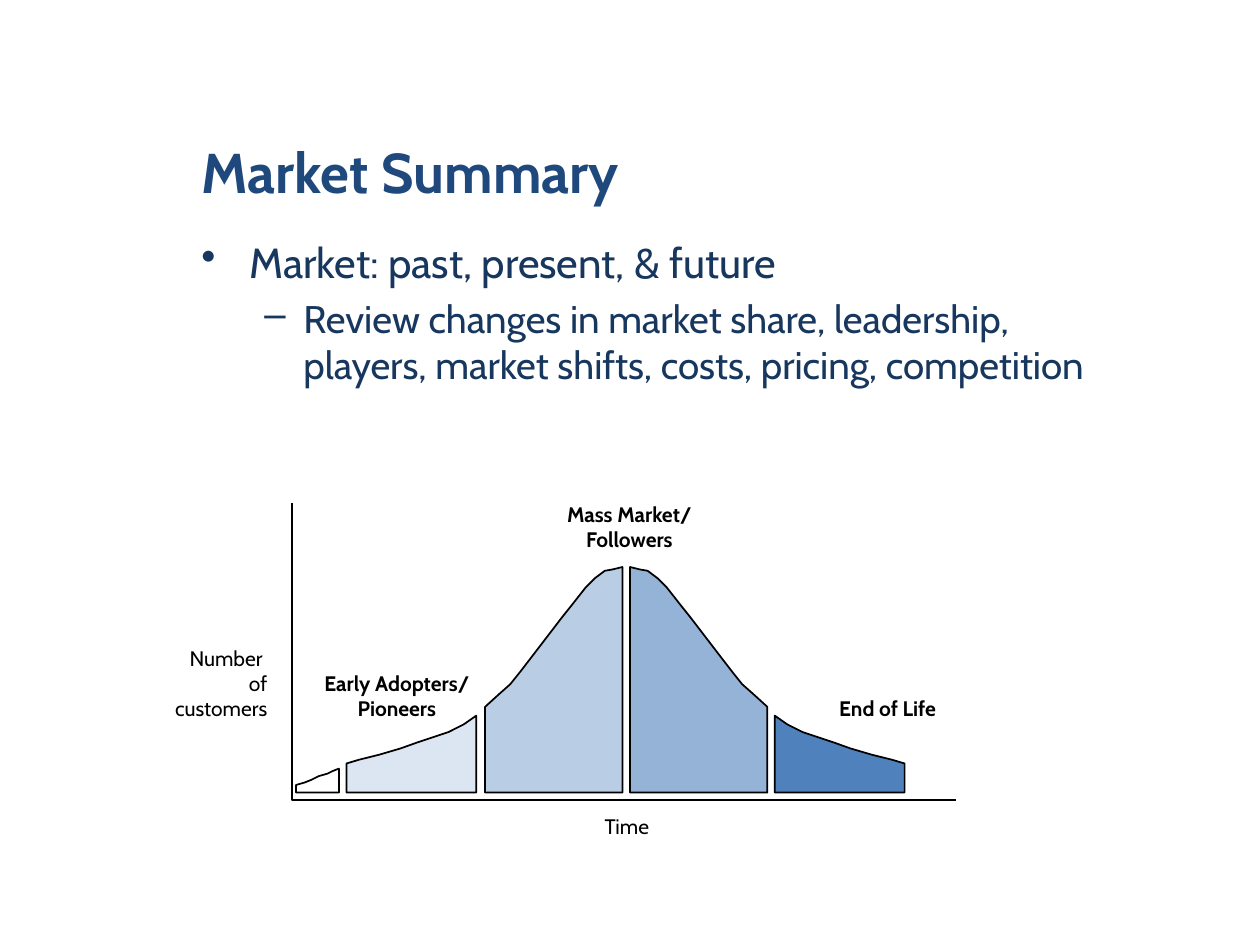
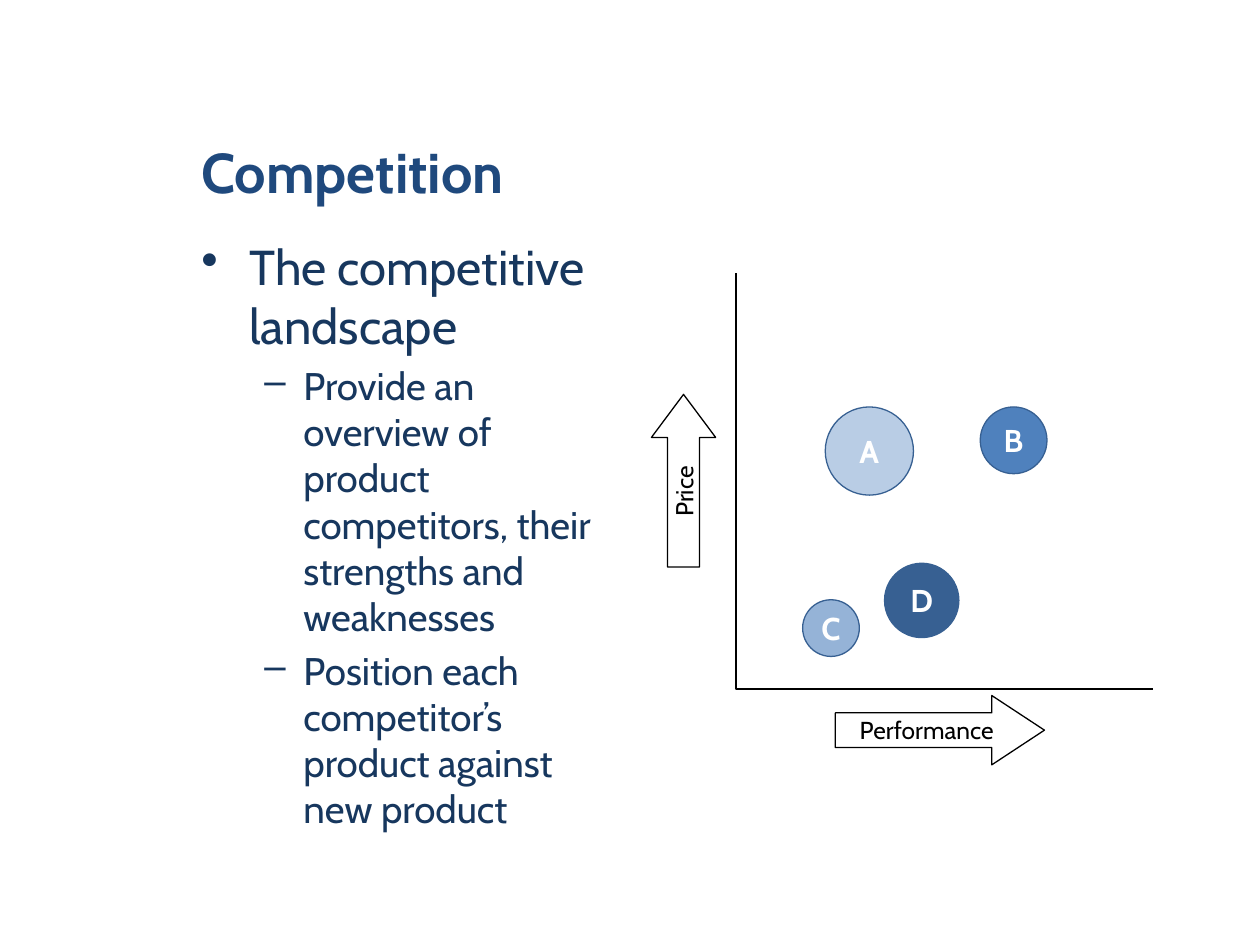
import dataclasses

import pptx
import pptx.dml.color
import pptx.enum.shapes
import pptx.enum.text
import pptx.util
from lxml import etree

Align = pptx.enum.text.PP_ALIGN
Anchor = pptx.enum.text.MSO_ANCHOR
Fit = pptx.enum.text.MSO_AUTO_SIZE
Preset = pptx.enum.shapes.MSO_SHAPE

EMU_PER_PX = 9144
PAGE_SIZE = (1000, 750)
TITLE_AREA = (150, 42, 750, 125)


@dataclasses.dataclass(frozen=True)
class Theme:
    font: str = "Cabin"
    title: str = "1F497D"
    body: str = "17375E"
    ink: str = "000000"
    paper: str = "FFFFFF"
    pale: str = "DCE6F2"
    light: str = "B9CDE5"
    medium: str = "95B3D7"
    strong: str = "4F81BD"
    dark: str = "376092"
    title_size: int = 32
    bullet_size: int = 22
    label_size: int = 12
    arrow_size: int = 14
    bubble_size: int = 18
    thin: float = 0.75
    outline: float = 1
    axis: float = 1.5


THEME = Theme()
BULLETS = [("•", 38, -38), ("–", 81, -31)]

MARKET = {
    "title": "Market Summary",
    "body_area": (150, 183, 750, 183),
    "bullets": [
        (0, 24, "Market: past, present, & future"),
        (1, THEME.bullet_size, "Review changes in market share, leadership, players, "
                               "market shifts, costs, pricing, competition"),
    ],
    "axes": [(232, 399), (232, 635), (759, 635)],
}
COMPETITION = {
    "title": "Competition",
    "body_area": (150, 183, 342, 517),
    "bullets": [
        (0, 28, "The competitive landscape"),
        (1, THEME.bullet_size, "Provide an overview of product competitors, "
                               "their strengths and weaknesses"),
        (1, THEME.bullet_size, "Position each competitor’s product against new product"),
    ],
    "axes": [(584, 217), (584, 547), (915, 547)],
}

BASELINE = 629
INNOVATOR_CURVE = [(235, 623), (242, 621), (247, 619), (253, 616), (260, 614),
                   (264, 612), (269, 610)]
EARLY_CURVE = [(275, 606), (285, 603), (301, 599), (318, 594), (332, 589),
               (347, 584), (356, 581), (368, 575), (378, 568)]
MASS_CURVE = [(385, 561), (396, 551), (405, 543), (413, 533), (423, 520), (433, 507),
              (446, 490), (454, 480), (465, 466), (472, 459), (480, 453), (486, 452),
              (494, 450)]


def mirrored(curve, edge_sum):
    return [(edge_sum - x, y) for x, y in reversed(curve)]


STAGES = [
    (THEME.pale, EARLY_CURVE),
    (THEME.light, MASS_CURVE),
    (THEME.paper, INNOVATOR_CURVE),
    (THEME.strong, mirrored(EARLY_CURVE, 993)),
    (THEME.medium, mirrored(MASS_CURVE, 994)),
]
STAGE_LABELS = [
    (["Early Adopters/", "Pioneers"], (239, 527, 152, 50)),
    (["Mass Market/", "Followers"], (432, 393, 135, 50)),
    (["End of Life"], (650, 547, 109, 30)),
]
TIME_LABEL = (["Time"], (469, 641, 57, 30))
CUSTOMERS_LABEL = (["Number ", "of", "customers"], (100, 507, 122, 70))

BUBBLES = [
    ("A", 655, 323, 70, THEME.light),
    ("B", 778, 323, 53, THEME.strong),
    ("C", 637, 476, 45, THEME.medium),
    ("D", 702, 447, 59, THEME.dark),
]
ARROWS = [
    ("Performance", (663, 552, 166, 55), 0, 0.76),
    ("Price", (474, 356, 137, 51), 270, 0.67),
]


def emu(px):
    return pptx.util.Emu(round(px * EMU_PER_PX))


def rgb(code):
    return pptx.dml.color.RGBColor.from_string(code)


def assign(target, values):
    for name, value in values.items():
        setattr(target, name, value)


def write(para, text, size, color, bold=False):
    span = para.add_run()
    span.text = text
    assign(span.font, {"name": THEME.font, "size": pptx.util.Pt(size), "bold": bold})
    span.font.color.rgb = rgb(color)


def paragraphs(frame, count):
    return [frame.paragraphs[0]] + [frame.add_paragraph() for _ in range(count - 1)]


def paint(shape, fill, line, width):
    shape.shadow.inherit = False
    if fill:
        shape.fill.solid()
        shape.fill.fore_color.rgb = rgb(fill)
    else:
        shape.fill.background()
    shape.line.color.rgb = rgb(line)
    shape.line.width = pptx.util.Pt(width)


def add_box(page, area, **frame_format):
    box = page.shapes.add_textbox(*map(emu, area))
    assign(box.text_frame, frame_format)
    return box.text_frame


def add_bullets(page, area, bullets):
    frame = add_box(page, area, word_wrap=True)
    for index, para in enumerate(paragraphs(frame, len(bullets))):
        level, size, text = bullets[index]
        mark, margin, indent = BULLETS[level]
        para.level = level
        para.space_before = pptx.util.Pt(size * 0.2 if index else 0)
        props = para._p.get_or_add_pPr()
        props.set("marL", str(emu(margin)))
        props.set("indent", str(emu(indent)))
        bullet = etree.SubElement(props, pptx.oxml.ns.qn("a:buChar"))
        bullet.set("char", mark)
        write(para, text, size, THEME.body)


def add_path(page, points, closed, fill, width):
    builder = page.shapes.build_freeform(*points[0], scale=EMU_PER_PX)
    builder.add_line_segments(points[1:], close=closed)
    paint(builder.convert_to_shape(), fill, THEME.ink, width)


def add_label(page, lines, area, bold=False, align=Align.CENTER, wrap=False):
    frame = add_box(page, area, word_wrap=wrap, vertical_anchor=Anchor.MIDDLE,
                    auto_size=Fit.SHAPE_TO_FIT_TEXT)
    for para, text in zip(paragraphs(frame, len(lines)), lines):
        para.alignment = align
        write(para, text, THEME.label_size, THEME.ink, bold)


def add_figure(page, preset, area, fill, line, text, size, color, bold=False):
    shape = page.shapes.add_shape(preset, *map(emu, area))
    paint(shape, fill, line, THEME.thin)
    frame = shape.text_frame
    assign(frame, {"word_wrap": False, "vertical_anchor": Anchor.MIDDLE,
                   "margin_left": 0, "margin_top": 0,
                   "margin_right": 0, "margin_bottom": 0})
    frame.paragraphs[0].alignment = Align.CENTER
    write(frame.paragraphs[0], text, size, color, bold)
    return shape


def add_page(deck, content):
    page = deck.slides.add_slide(deck.slide_layouts[6])
    frame = add_box(page, TITLE_AREA, word_wrap=True, vertical_anchor=Anchor.BOTTOM)
    write(frame.paragraphs[0], content["title"], THEME.title_size, THEME.title, True)
    add_bullets(page, content["body_area"], content["bullets"])
    return page


def build_market(deck):
    page = add_page(deck, MARKET)
    add_path(page, MARKET["axes"], False, None, THEME.outline)
    for fill, curve in STAGES:
        base = [(curve[-1][0], BASELINE), (curve[0][0], BASELINE)]
        add_path(page, curve + base, True, fill, THEME.outline)
    for lines, area in STAGE_LABELS:
        add_label(page, lines, area, bold=True)
    add_label(page, *TIME_LABEL)
    add_label(page, *CUSTOMERS_LABEL, align=Align.RIGHT, wrap=True)


def build_competition(deck):
    page = add_page(deck, COMPETITION)
    for name, left, top, diameter, fill in BUBBLES:
        add_figure(page, Preset.OVAL, (left, top, diameter, diameter), fill,
                   THEME.dark, name, THEME.bubble_size, THEME.paper, True)
    add_path(page, COMPETITION["axes"], False, None, THEME.axis)
    for text, area, rotation, head in ARROWS:
        arrow = add_figure(page, Preset.RIGHT_ARROW, area, THEME.paper, THEME.ink,
                           text, THEME.arrow_size, THEME.ink)
        arrow.rotation = rotation
        arrow.adjustments[1] = head


def main():
    deck = pptx.Presentation()
    deck.slide_width, deck.slide_height = map(emu, PAGE_SIZE)
    build_market(deck)
    build_competition(deck)
    deck.save("out.pptx")


if __name__ == "__main__":
    main()
